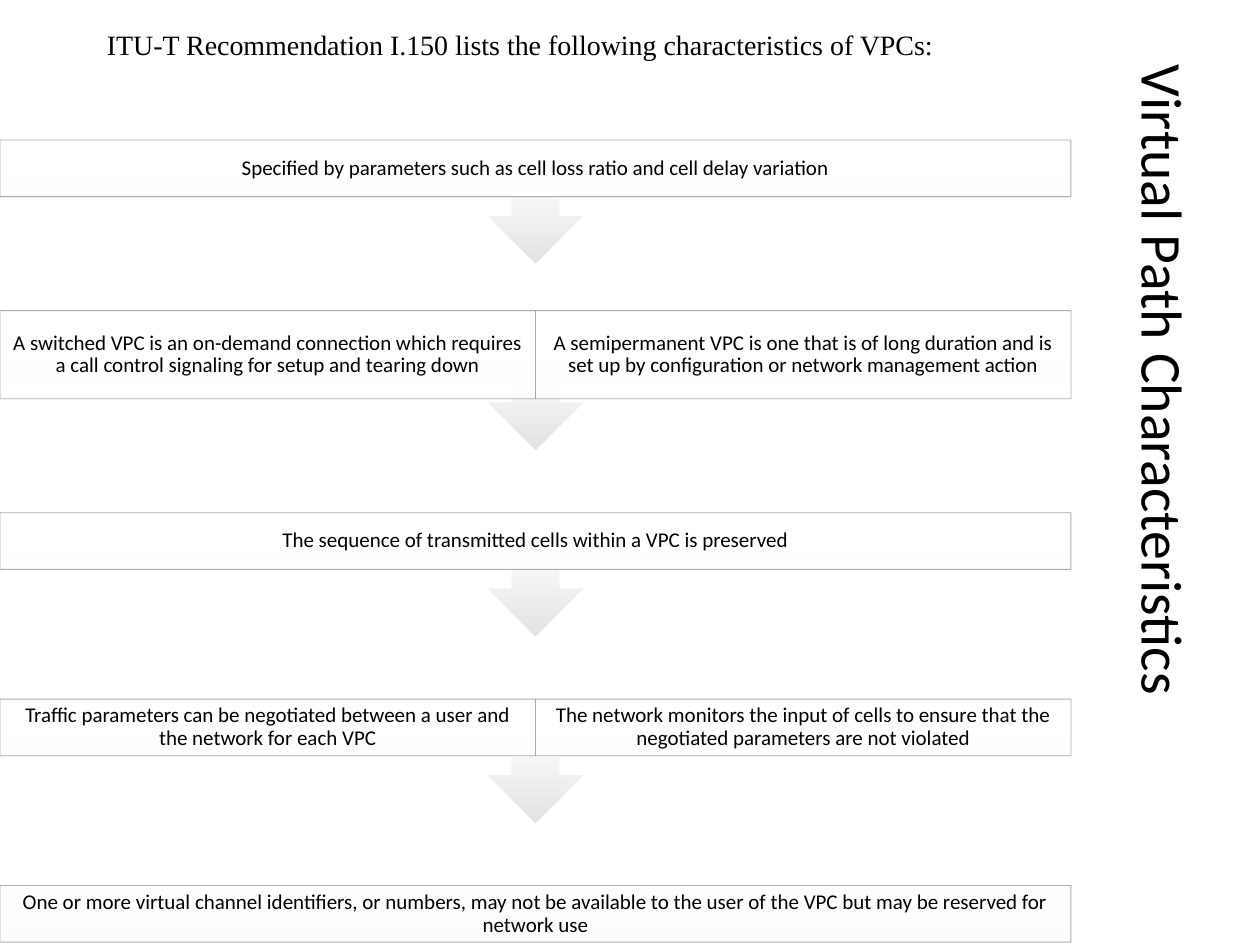
from lxml.etree import SubElement
from pptx import Presentation
from pptx.dml.color import RGBColor
from pptx.enum.shapes import MSO_SHAPE
from pptx.enum.text import MSO_ANCHOR, PP_ALIGN
from pptx.oxml.ns import qn
from pptx.util import Pt

COLORS = {"text": "000000", "box": "FFFFFF", "border": "A5A5A5", "shade": "E3E3E3"}
FLOW_WIDTH, FLOW_TOP, PITCH = 612, 42.5, 106.5
CALLOUT_HEIGHT, LAST_HEIGHT, BOX_MIDDLE = 108, 70, 53.7
ROWS = [
    (32.4, ["Specified by parameters such as cell loss ratio and cell delay variation"]),
    (50.4, ["A switched VPC is an on-demand connection which requires a call control "
            "signaling for setup and tearing down",
            "A semipermanent VPC is one that is of long duration and is set up by "
            "configuration or network management action"]),
    (32.4, ["The sequence of transmitted cells within a VPC is preserved"]),
    (32.4, ["Traffic parameters can be negotiated between a user and the network for each VPC",
            "The network monitors the input of cells to ensure that the negotiated "
            "parameters are not violated"]),
    (32.4, ["One or more virtual channel identifiers, or numbers, may not be available to "
            "the user of the VPC but may be reserved for network use"]),
]


def set_all(obj, values):
    """Set each named attribute of an object."""
    for name, value in values.items():
        setattr(obj, name, value)


def write(tf, text, size, font, frame, para):
    """Write one paragraph into a text frame."""
    set_all(tf, {"word_wrap": True, **frame})
    p = tf.paragraphs[0]
    set_all(p, para)
    r = p.add_run()
    r.text = text
    set_all(r.font, {"size": Pt(size), "name": font})
    r.font.color.rgb = RGBColor.from_string(COLORS["text"])


def add_text(s, at, text, size, font, frame, para):
    """Add a text box and return it."""
    sp = s.shapes.add_textbox(*map(Pt, at))
    write(sp.text_frame, text, size, font, frame, para)
    return sp


def add_plain(s, kind, at):
    """Add a preset shape without shadow."""
    sp = s.shapes.add_shape(kind, *map(Pt, at))
    sp.shadow.inherit = False
    return sp


def add_callout(s, kind, at, rotation):
    """Add a backdrop that shades from white to grey downwards."""
    sp = add_plain(s, kind, at)
    sp.rotation = rotation
    sp.line.fill.background()
    sp.fill.gradient()
    grad = sp._element.spPr.find(qn("a:gradFill"))
    grad.set("rotWithShape", "0")
    stops = grad.find(qn("a:gsLst"))
    for stop in list(stops):
        stops.remove(stop)
    for pos, name in ((0, "box"), (50, "box"), (100, "shade")):
        stop = SubElement(stops, qn("a:gs"), pos=str(pos * 1000))
        SubElement(stop, qn("a:srgbClr"), val=COLORS[name])
    grad.find(qn("a:lin")).set("ang", "5400000")


def add_box(s, at, text):
    """Add a bordered, slightly see-through box with centred text."""
    sp = add_plain(s, MSO_SHAPE.RECTANGLE, at)
    sp.fill.solid()
    sp.fill.fore_color.rgb = RGBColor.from_string(COLORS["box"])
    sp.line.color.rgb = RGBColor.from_string(COLORS["border"])
    sp.line.width = Pt(0.5)
    for color in sp._element.spPr.iter(qn("a:srgbClr")):
        SubElement(color, qn("a:alpha"), val="90000")
    frame = {"vertical_anchor": MSO_ANCHOR.MIDDLE,
             "margin_left": Pt(6.5), "margin_right": Pt(6.5),
             "margin_top": Pt(1.4), "margin_bottom": Pt(1.4)}
    write(sp.text_frame, text, 12, "Calibri", frame,
          {"alignment": PP_ALIGN.CENTER, "line_spacing": 0.9})


def add_row(s, index):
    """Add one step of the flow with its boxes side by side."""
    height, texts = ROWS[index]
    top = FLOW_TOP + index * PITCH
    if index == len(ROWS) - 1:
        add_callout(s, MSO_SHAPE.RECTANGLE, (0, top, FLOW_WIDTH, LAST_HEIGHT), 0)
    else:
        add_callout(s, MSO_SHAPE.UP_ARROW_CALLOUT, (0, top, FLOW_WIDTH, CALLOUT_HEIGHT), 180)
    width = FLOW_WIDTH / len(texts)
    for i, text in enumerate(texts):
        add_box(s, (i * width, top + BOX_MIDDLE - height / 2, width, height), text)


def main():
    """Build the slide and save it."""
    prs = Presentation()
    set_all(prs, {"slide_width": Pt(720), "slide_height": Pt(540)})
    s = prs.slides.add_slide(prs.slide_layouts[6])
    title = add_text(s, (582, 30, 162, 461), "Virtual Path Characteristics", 33, "Calibri",
                     {"vertical_anchor": MSO_ANCHOR.MIDDLE}, {"line_spacing": 0.9})
    title.text_frame._txBody.bodyPr.set("vert", "eaVert")
    for index in reversed(range(len(ROWS))):
        add_row(s, index)
    add_text(s, (54, 12.2, 594, 55.4),
             "ITU-T Recommendation I.150 lists the following characteristics of VPCs:",
             16, "Times New Roman", {}, {})
    prs.save("out.pptx")


if __name__ == "__main__":
    main()
